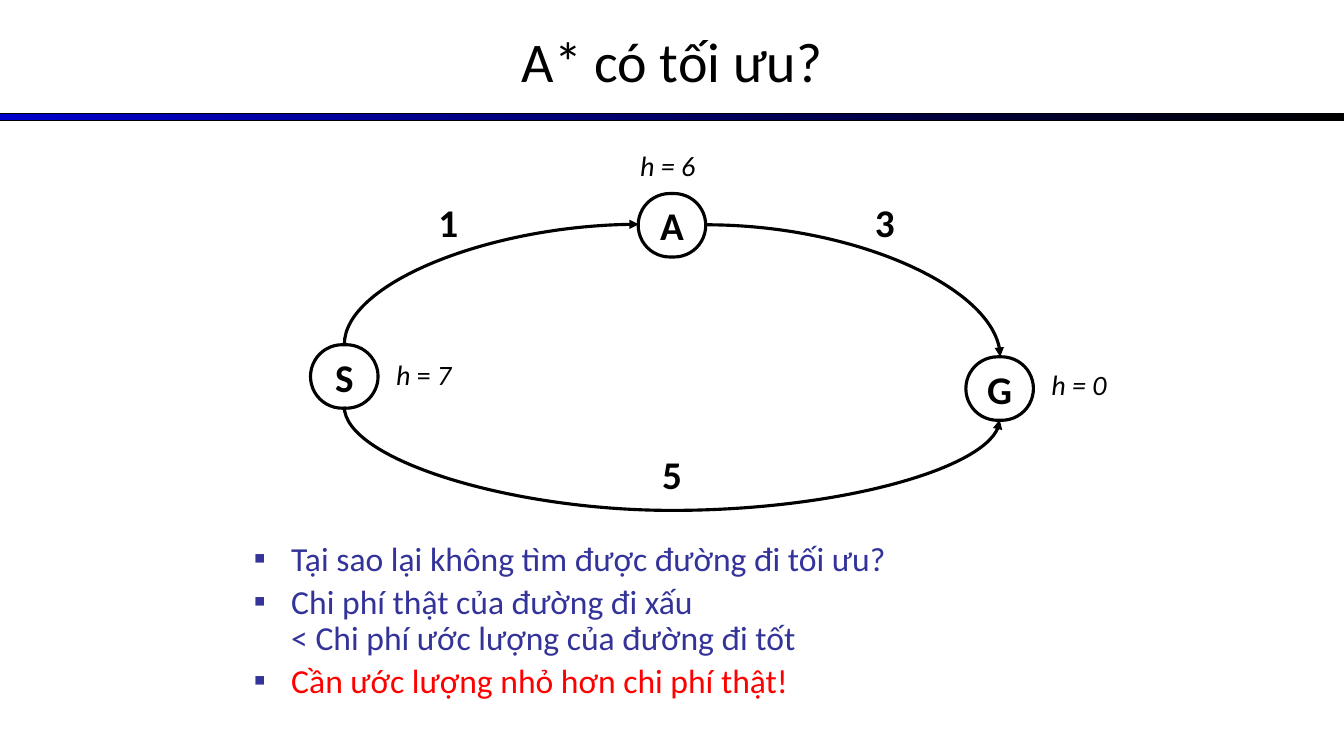
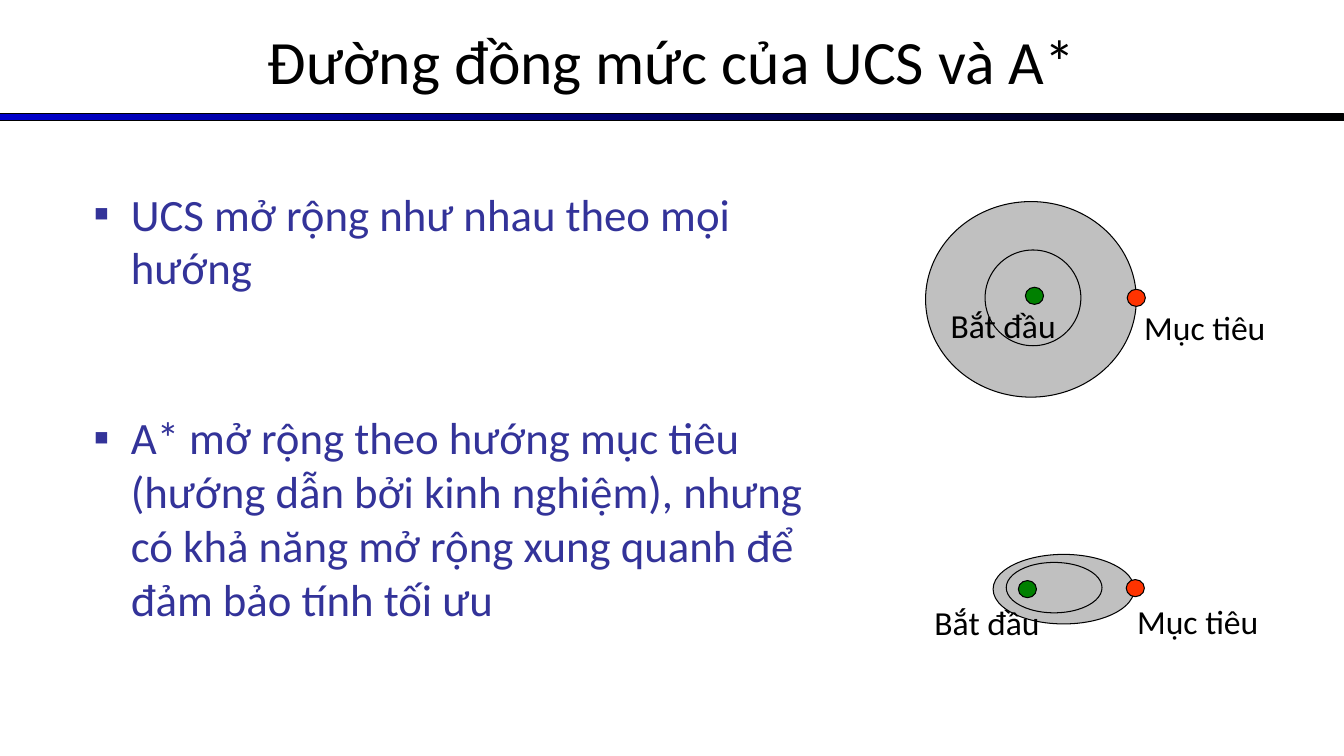
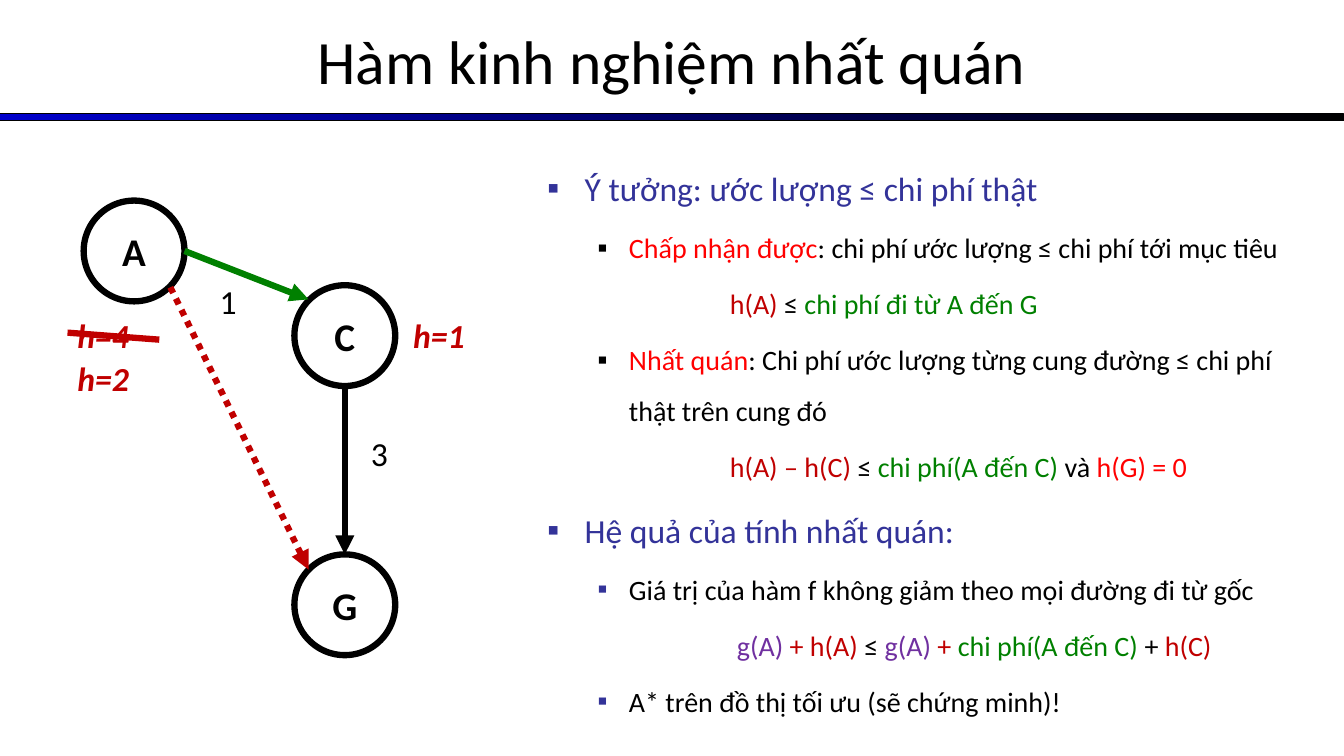
import pptx
import pptx.dml.color
import pptx.enum.dml
import pptx.enum.shapes
import pptx.enum.text
import pptx.util
from lxml import etree
from pptx.oxml import ns

Inches, Pt = pptx.util.Inches, pptx.util.Pt
SHAPES = pptx.enum.shapes.MSO_SHAPE
CONNECTORS = pptx.enum.shapes.MSO_CONNECTOR
ALIGN = pptx.enum.text.PP_ALIGN
MIDDLE = pptx.enum.text.MSO_ANCHOR.MIDDLE
DOTTED = pptx.enum.dml.MSO_LINE.ROUND_DOT

COLORS = {
    "black": "000000", "white": "FFFFFF", "blue": "0000CC", "indigo": "333399",
    "red": "FF0000", "dark red": "C00000", "green": "008000",
    "orange": "FF3300", "purple": "7030A0", "gray": "C0C0C0",
}
FONT = "Calibri"
WIDTH, HEIGHT = 13.33, 7.5


def rgb(name):
    return pptx.dml.color.RGBColor.from_string(COLORS[name])


def add_xml(parent, tag, **attributes):
    return etree.SubElement(parent, ns.qn(tag), attributes)


class Slides:
    """Holds the deck, its style and the current page."""

    def __init__(self):
        self.deck = pptx.Presentation()
        self.deck.slide_width = Inches(WIDTH)
        self.deck.slide_height = Inches(HEIGHT)
        self.page = None

    def start(self, title, size=44):
        """Add a page with the shared band and title."""
        self.page = self.deck.slides.add_slide(self.deck.slide_layouts[6])
        band = self.shape(SHAPES.RECTANGLE, (0, 1.13, WIDTH, 0.07))
        band.fill.gradient()
        band.fill.gradient_angle = 0
        for stop, color in zip(band.fill.gradient_stops, ("blue", "black")):
            stop.color.rgb = rgb(color)
        box = self.text((0, -0.03, WIDTH, 1.25), title, size=size, align=ALIGN.CENTER)
        box.text_frame.vertical_anchor = MIDDLE

    def add_spans(self, para, runs, color="black", size=24, bold=False, italic=False):
        """Fill a paragraph with a string, or with (text, changed format) runs."""
        if isinstance(runs, str):
            runs = [(runs, {})]
        for text, changes in runs:
            style = {"name": FONT, "size": Pt(size), "bold": bold, "italic": italic}
            style.update(changes)
            span_color = style.pop("color", color)
            for index, part in enumerate(text.split("\n")):
                if index:
                    para.add_line_break()
                span = para.add_run()
                span.text = part
                for name, value in style.items():
                    setattr(span.font, name, value)
                span.font.color.rgb = rgb(span_color)

    def text(self, place, runs, align=ALIGN.LEFT, **style):
        box = self.page.shapes.add_textbox(*map(Inches, place))
        box.text_frame.word_wrap = True
        para = box.text_frame.paragraphs[0]
        para.alignment = align
        self.add_spans(para, runs, **style)
        return box

    def bullets(self, place, items, spacing=1.0):
        """Each item holds runs and optional size, color, margin, hang, bullet, before."""
        box = self.page.shapes.add_textbox(*map(Inches, place))
        frame = box.text_frame
        frame.word_wrap = True
        for index, item in enumerate(items):
            para = frame.add_paragraph() if index else frame.paragraphs[0]
            size = item.get("size", 24)
            bullet = item.get("bullet", "indigo")
            properties = para._p.get_or_add_pPr()
            properties.set("marL", str(Inches(item.get("margin", 0.37))))
            properties.set("indent", str(-Inches(item.get("hang", 0.37))))
            if bullet:
                add_xml(add_xml(properties, "a:buClr"), "a:srgbClr", val=COLORS[bullet])
                add_xml(properties, "a:buFont", typeface=FONT)
                add_xml(properties, "a:buChar", char="▪")
            else:
                add_xml(properties, "a:buNone")
            para.line_spacing = spacing
            para.space_before = Pt(item.get("before", size * 0.2) if index else 0)
            self.add_spans(para, item["runs"], item.get("color", "indigo"), size)

    def shape(self, kind, place, fill=None, weight=0.75):
        shape = self.page.shapes.add_shape(kind, *map(Inches, place))
        shape.shadow.inherit = False
        if fill:
            shape.fill.solid()
            shape.fill.fore_color.rgb = rgb(fill)
        else:
            shape.fill.background()
        shape.line.color.rgb = rgb("black")
        shape.line.width = Pt(weight)
        return shape

    def node(self, kind, place, letter, fill=None, weight=2.25):
        node = self.shape(kind, place, fill, weight)
        if kind == SHAPES.ROUNDED_RECTANGLE:
            node.adjustments[0] = 0.5
        node.text_frame.word_wrap = False
        node.text_frame.vertical_anchor = MIDDLE
        para = node.text_frame.paragraphs[0]
        para.alignment = ALIGN.CENTER
        self.add_spans(para, letter, size=28, bold=True)

    def line(self, start, end, color="black", weight=4.5, arrow=True,
             kind=CONNECTORS.STRAIGHT, dash=None):
        line = self.page.shapes.add_connector(kind, *map(Inches, start + end))
        line.line.color.rgb = rgb(color)
        line.line.width = Pt(weight)
        if dash:
            line.line.dash_style = dash
        if arrow:
            add_xml(line.line._get_or_add_ln(), "a:tailEnd", type="triangle")
        add_xml(line._element.spPr, "a:effectLst")
        return line

    def curve(self, frame, turn=0, flips=(), bend=None):
        """Draw a curved arrow in an unrotated frame; bend gives a U-shaped one."""
        left, top, width, height = frame
        curve = self.line((left, top), (left + width, top + height),
                          weight=2.25, kind=CONNECTORS.CURVE)
        outline = curve._element.spPr
        transform = outline.find(ns.qn("a:xfrm"))
        transform.set("rot", str(turn * 60000))
        for flip in flips:
            transform.set(flip, "1")
        geometry = outline.find(ns.qn("a:prstGeom"))
        if bend is None:
            geometry.set("prst", "curvedConnector2")
        else:
            guides = geometry.find(ns.qn("a:avLst"))
            add_xml(guides, "a:gd", name="adj1", fmla=f"val {round(bend * 100000)}")


def build_optimality(slides):
    slides.start("A* có tối ưu?", size=40)
    slides.bullets((2.42, 5.33, 9.92, 1.03), [
        {"runs": "Tại sao lại không tìm được đường đi tối ưu?"},
        {"runs": "Chi phí thật của đường đi xấu\n< Chi phí ước lượng của đường đi tốt"},
        {"runs": "Cần ước lượng nhỏ hơn chi phí thật!", "color": "red"},
    ], spacing=0.9)
    for letter, left, top in (("A", 6.33, 1.92), ("G", 9.58, 3.54), ("S", 3.08, 3.42)):
        slides.node(SHAPES.ROUNDED_RECTANGLE, (left, top, 0.67, 0.63), letter)
    for cost, left in (("1", 4.25), ("3", 8.58)):
        slides.text((left, 1.92, 0.5, 0.57), cost, size=28, bold=True)
    slides.text((0, 4.42, WIDTH, 0.57), "5", align=ALIGN.CENTER, size=28, bold=True)
    start_estimate = [("h", {}), (" = ", {"italic": False}), ("7", {})]
    for estimate, left, top in (("h = 6", 6.25, 1.42), ("h = 0", 10.33, 3.6),
                                (start_estimate, 3.83, 3.5)):
        slides.text((left, top, 1, 0.44), estimate, size=20, italic=True)
    slides.curve((6.6, 0.85, 0.13, 6.5), 270, ("flipH",), bend=7.92)
    slides.curve((4.28, 1.36, 1.19, 2.92), 90, ("flipH", "flipV"))
    slides.curve((7, 2.23, 2.92, 1.31))


def build_contours(slides):
    slides.start("Đường đồng mức của UCS và A*")
    slides.bullets((0.83, 1.8, 7.33, 4.95), [
        {"runs": "UCS mở rộng như nhau theo mọi hướng", "size": 32},
        {"runs": "A* mở rộng theo hướng mục tiêu (hướng dẫn bởi kinh nghiệm), "
                 "nhưng có khả năng mở rộng xung quanh để đảm bảo tính tối ưu",
         "size": 32, "before": 83},
    ])
    searches = (
        {"outer": (9.18, 2, 2.09, 1.94), "inner": (9.77, 2.48, 0.95, 0.95),
         "dots": ((10.17, 2.85), (11.18, 2.87)), "labels": ((9.33, 2.98), (11.25, 3))},
        {"outer": (9.85, 5.5, 1.4, 0.69), "inner": (9.98, 5.58, 0.95, 0.5),
         "dots": ((10.1, 5.76), (11.17, 5.75)), "labels": ((9.17, 5.92), (11.18, 5.91))},
    )
    for search in searches:
        slides.shape(SHAPES.OVAL, search["outer"], "gray")
        slides.shape(SHAPES.OVAL, search["inner"])
        for corner, color in zip(search["dots"], ("green", "orange")):
            slides.shape(SHAPES.OVAL, corner + (0.18, 0.17), color)
        for corner, label in zip(search["labels"], ("Bắt đầu", "Mục tiêu")):
            slides.text(corner + (1.5, 0.5), label)


def build_consistency(slides):
    slides.start("Hàm kinh nghiệm nhất quán")
    red, dark_red, green, purple = (
        {"color": name} for name in ("red", "dark red", "green", "purple"))
    detail = {"size": 20, "color": "black", "margin": 0.81, "hang": 0.31}
    term = {**detail, "bullet": "black"}
    formula = {**detail, "bullet": None, "margin": 1.81, "hang": 0}
    slides.bullets((5.33, 1.42, 7.58, 3.33), [
        {"runs": "Ý tưởng: ước lượng ≤ chi phí thật"},
        {**term, "runs": [("Chấp nhận được", red),
                          (": chi phí ước lượng ≤ chi phí tới mục tiêu", {})]},
        {**formula, "runs": [("h(A) ", dark_red), ("≤ ", {}),
                             ("chi phí đi từ A đến G", green)]},
        {**term, "runs": [("Nhất quán", red),
                          (": Chi phí ước lượng từng cung đường ≤ chi phí thật "
                           "trên cung đó", {})]},
        {**formula, "runs": [("h(A) – h(C) ", dark_red), ("≤ ", {}),
                             ("chi phí(A đến C) ", green), ("và ", {}),
                             ("h(G) = 0", red)]},
        {"runs": "Hệ quả của tính nhất quán:"},
        {**detail, "runs": "Giá trị của hàm f không giảm theo mọi đường đi từ gốc"},
        {**formula, "margin": 1.88,
         "runs": [("g(A) ", purple), ("+ h(A) ", dark_red), ("≤ ", {}),
                  ("g(A) ", purple), ("+ ", dark_red),
                  ("chi phí(A đến C) ", green), ("+ ", {}), ("h(C)", dark_red)]},
        {**detail, "runs": "A* trên đồ thị tối ưu (sẽ chứng minh)!"},
    ], spacing=1.5)
    for letter, left, top in (("A", 0.83, 1.99), ("C", 2.92, 2.83), ("G", 2.92, 5.5)):
        slides.node(SHAPES.OVAL, (left, top, 1, 1), letter, "white", 4.5)
    for cost, left, top in (("1", 2.08, 2.74), ("3", 3.58, 4.25)):
        slides.text((left, top, 0.4, 0.5), cost)
    for estimate, left, top in (("h=4", 0.67, 3.08), ("h=2", 0.67, 3.5), ("h=1", 4, 3.08)):
        slides.text((left, top, 0.8, 0.5), estimate, color="dark red", bold=True, italic=True)
    slides.line((3.42, 3.83), (3.42, 5.5))
    slides.line((1.69, 2.85), (3.06, 5.65), "dark red", dash=DOTTED)
    slides.line((1.83, 2.49), (3.06, 2.97), "green")
    slides.line((0.67, 3.3), (1.58, 3.37), "dark red", arrow=False)


def main():
    slides = Slides()
    build_optimality(slides)
    build_contours(slides)
    build_consistency(slides)
    slides.deck.save("out.pptx")


if __name__ == "__main__":
    main()
